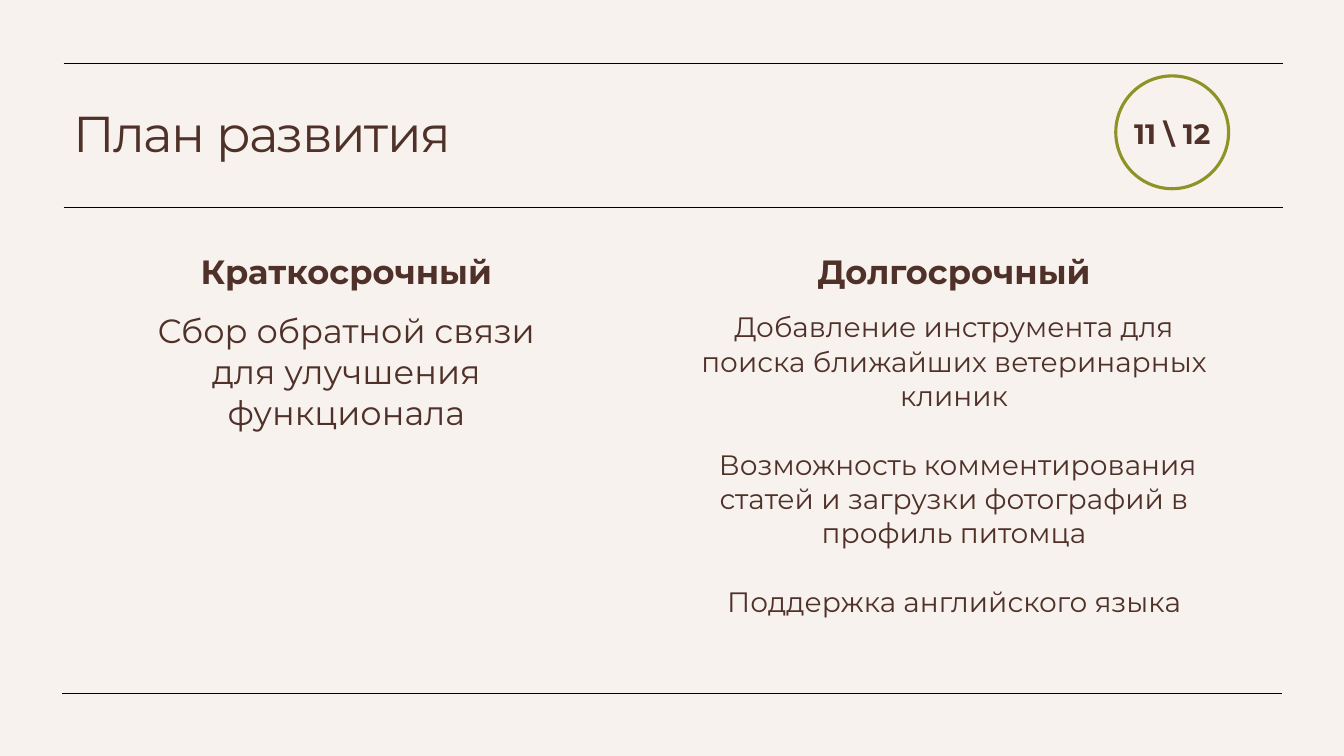
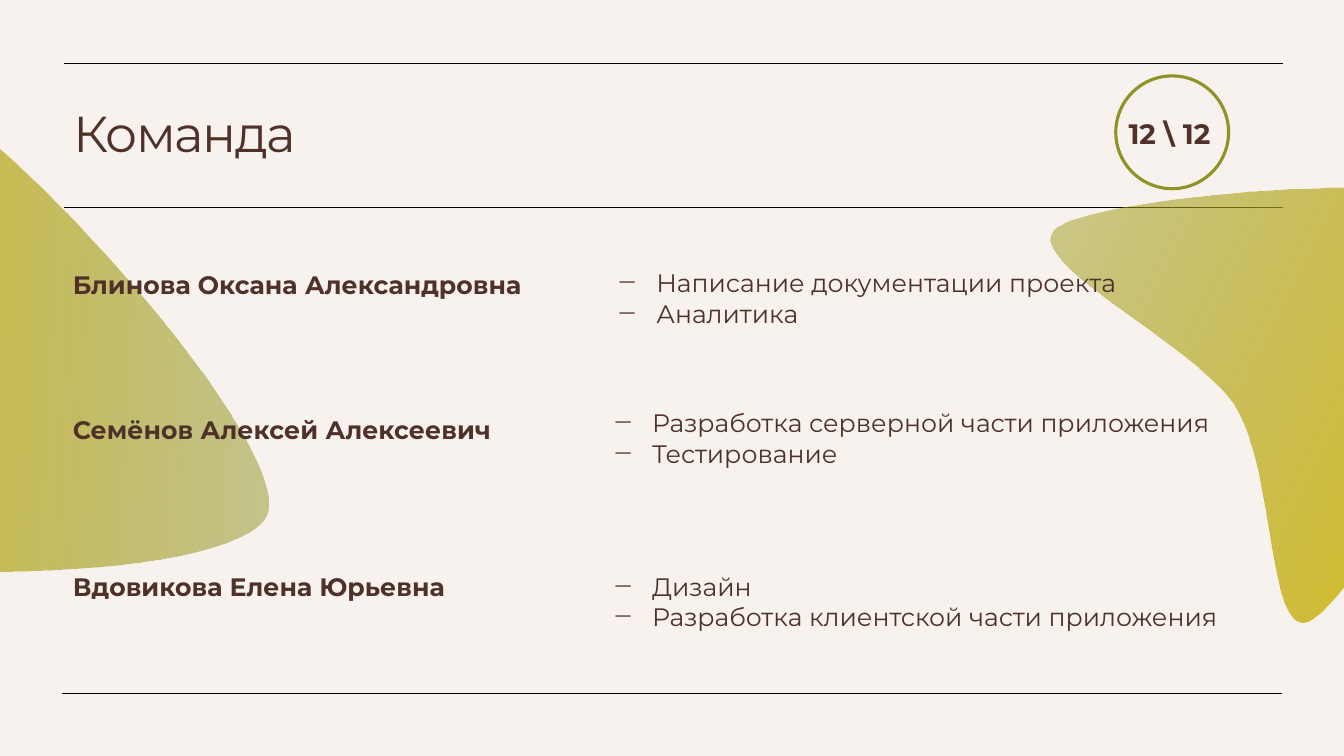
"""Builds the development plan and team slides."""
from pptx import Presentation
from pptx.dml.color import RGBColor
from pptx.enum.shapes import MSO_CONNECTOR, MSO_SHAPE
from pptx.enum.text import MSO_ANCHOR, MSO_AUTO_SIZE, PP_ALIGN
from pptx.oxml.ns import qn
from pptx.oxml.xmlchemy import OxmlElement
from pptx.util import Pt

LEFT, CENTER, RIGHT = PP_ALIGN.LEFT, PP_ALIGN.CENTER, PP_ALIGN.RIGHT
MIDDLE = MSO_ANCHOR.MIDDLE
GROW = MSO_AUTO_SIZE.SHAPE_TO_FIT_TEXT
STRAIGHT, OVAL = MSO_CONNECTOR.STRAIGHT, MSO_SHAPE.OVAL
FONT = "Montserrat"
PAPER, BROWN, OLIVE, GOLD, BLACK = "F7F2EE", "4F3129", "8E9326", "E1BF11", "000000"
NO_STYLE = "{2D5ABB26-0587-4C30-8999-92F81FD0307C}"
MARGIN = 45


def colour(code):
    return RGBColor.from_string(code)


def write(frame, lines, size=18, bold=False, align=LEFT, gap=0, spacing=None,
          tracking=None, bullet=None):
    for index, line in enumerate(lines):
        para = frame.paragraphs[0] if index == 0 else frame.add_paragraph()
        para.alignment = align
        if spacing:
            para.line_spacing = spacing
        if gap and index:
            para.space_before = Pt(gap)
        span = para.add_run()
        span.text = line
        span.font.name = FONT
        span.font.size = Pt(size)
        span.font.bold = bold
        span.font.color.rgb = colour(BROWN)
        if tracking:
            span.font._element.set("spc", str(tracking * 100))
        if bullet:
            properties = para._p.get_or_add_pPr()
            properties.set("marL", str(Pt(27)))
            properties.set("indent", str(-Pt(27)))
            for tag, key, value in [("a:buFont", "typeface", FONT), ("a:buChar", "char", bullet)]:
                mark = OxmlElement(tag)
                mark.set(key, value)
                properties.append(mark)


deck = Presentation()
deck.slide_width, deck.slide_height = Pt(960), Pt(540)
background = deck.slide_master.background.fill
background.solid()
background.fore_color.rgb = colour(PAPER)
layout = deck.slide_layouts[5]

plan_page = deck.slides.add_slide(layout)
team_page = deck.slides.add_slide(layout)

for left, top in [(44.6, 495.2), (45.4, 148.4), (45.4, 45.2)]:
    rule = plan_page.shapes.add_connector(
        STRAIGHT, Pt(left), Pt(top), Pt(left + 871), Pt(top))
    rule.line.color.rgb = colour(BLACK)
    rule.line.width = Pt(0.5)
    rule._element.spPr.append(OxmlElement("a:effectLst"))
    layout.shapes.element.append(rule._element)

blobs = [
    (206.8, (731.5, 78.5, 317.5, 327.6), (26.6, 6.5), [
        [(6.5, 41), (-22.3, 296.6), (25.9, 324)],
        [(73.4, 352.1), (295.9, 208.8), (315.4, 175)],
        [(334.8, 139.7), (193, 145.4), (144.7, 117.4)],
        [(97.2, 89.3), (46.1, -27.4), (26.6, 6.5)],
    ]),
    (3.1, (-209.5, 57.6, 407.5, 351.4), (110.9, 0), [
        [(46.1, 4.3), (-34.6, 273.6), (15.1, 324)],
        [(64.8, 373), (390.2, 352.1), (406.8, 298.1)],
        [(422.6, 244.1), (175.7, -4.3), (110.9, 0)],
    ]),
]
for turn, (left, top, width, height), start, curves in blobs:
    outline = team_page.shapes.build_freeform(0, 0)
    outline.add_line_segments(
        [(Pt(width), 0), (Pt(width), Pt(height)), (0, Pt(height))], close=True)
    blob = outline.convert_to_shape(Pt(left), Pt(top))
    contour = blob._element.find(".//" + qn("a:path"))
    for part in list(contour):
        contour.remove(part)
    for tag, points in [("a:moveTo", [start])] + [("a:cubicBezTo", curve) for curve in curves]:
        part = OxmlElement(tag)
        for x, y in points:
            point = OxmlElement("a:pt")
            point.set("x", str(Pt(x)))
            point.set("y", str(Pt(y)))
            part.append(point)
        contour.append(part)
    contour.append(OxmlElement("a:close"))
    blob.rotation = turn
    blob.shadow.inherit = False
    blob.line.fill.background()
    blob.fill.gradient()
    blob.fill.gradient_angle = 0
    for stop, code in zip(blob.fill.gradient_stops, [GOLD, OLIVE]):
        stop.color.rgb = colour(code)
    alpha = OxmlElement("a:alpha")
    alpha.set("val", "49000")
    blob._element.findall(".//" + qn("a:srgbClr"))[-1].append(alpha)

for page, title in [(plan_page, "План развития"), (team_page, "Команда")]:
    heading = page.shapes.title
    heading.left, heading.top = Pt(MARGIN), Pt(54.4)
    heading.width, heading.height = Pt(870), Pt(85.7)
    heading.text_frame.vertical_anchor = MIDDLE
    write(heading.text_frame, [title], size=36, spacing=0.9, tracking=-1)

plan_frame = plan_page.shapes.add_table(2, 3, Pt(92.9), Pt(176.4), Pt(784.8), Pt(265))
plan_frame._element.find(".//" + qn("a:tableStyleId")).text = NO_STYLE
plan = plan_frame.table
plan.first_row = plan.horz_banding = False
for column, width in zip(plan.columns, [308.9, 83.5, 392.4]):
    column.width = Pt(width)
for row, height in zip(plan.rows, [41.8, 195.1]):
    row.height = Pt(height)
for cell in plan.iter_cells():
    cell.fill.background()

terms = [
    (0, "Краткосрочный", 24, ["Сбор обратной связи для улучшения функционала"]),
    (2, "Долгосрочный", 20, [
        "Добавление инструмента для поиска ближайших ветеринарных клиник",
        " Возможность комментирования статей и загрузки фотографий в профиль питомца",
        "Поддержка английского языка",
    ]),
]
for column, term, size, goals in terms:
    write(plan.cell(0, column).text_frame, [term], size=24, bold=True, align=CENTER)
    write(plan.cell(1, column).text_frame, goals, size=size, align=CENTER, gap=24.6)

team = [
    ("Блинова Оксана Александровна", 339, 189, 434.7, 187.7,
     ["Написание документации проекта", "Аналитика"]),
    ("Семёнов Алексей Алексеевич", 317.5, 292.3, 431.7, 287.7,
     ["Разработка серверной части приложения", "Тестирование"]),
    ("Вдовикова Елена Юрьевна", 283, 404.6, 431.7, 404.6,
     ["Дизайн", "Разработка клиентской части приложения"]),
]
for name, name_width, name_top, tasks_left, tasks_top, tasks in team:
    name_box = team_page.shapes.add_textbox(
        Pt(MARGIN), Pt(name_top), Pt(name_width), Pt(29))
    name_box.text_frame.word_wrap = False
    name_box.text_frame.auto_size = GROW
    write(name_box.text_frame, [name], bold=True)
    tasks_box = team_page.shapes.add_textbox(Pt(tasks_left), Pt(tasks_top), Pt(480), Pt(51))
    tasks_box.text_frame.word_wrap = True
    tasks_box.text_frame.auto_size = GROW
    write(tasks_box.text_frame, tasks, bullet="‒")

for page, number in [(plan_page, "11 \\ 12"), (team_page, "12 \\ 12")]:
    number_box = page.shapes.add_textbox(Pt(777.4), Pt(83.8), Pt(94.3), Pt(23))
    number_box.text_frame.word_wrap = True
    number_box.text_frame.vertical_anchor = MIDDLE
    write(number_box.text_frame, [number], size=20, bold=True, align=RIGHT)

    ring = page.shapes.add_shape(OVAL, Pt(797), Pt(54.2), Pt(80.6), Pt(80.6))
    ring.shadow.inherit = False
    ring.fill.background()
    ring.line.color.rgb = colour(OLIVE)
    ring.line.width = Pt(2.25)

deck.save("out.pptx")
